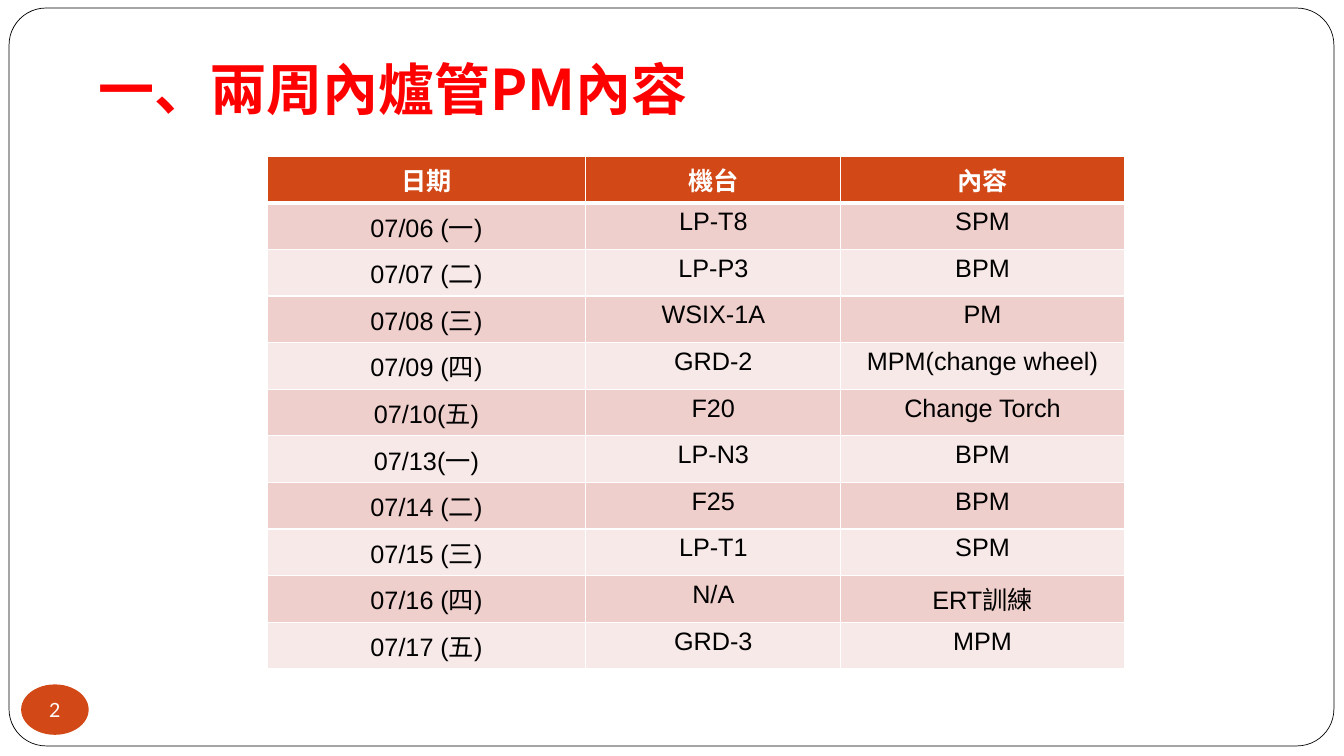
"""Build the slide that lists two weeks of furnace maintenance."""
from dataclasses import dataclass

from lxml import etree
from pptx import Presentation
from pptx.dml.color import RGBColor
from pptx.enum.shapes import MSO_SHAPE
from pptx.enum.text import MSO_ANCHOR, MSO_AUTO_SIZE, PP_ALIGN
from pptx.oxml.ns import qn
from pptx.util import Inches, Pt

ROUND = MSO_SHAPE.ROUNDED_RECTANGLE
OVAL = MSO_SHAPE.OVAL
BOTTOM = MSO_ANCHOR.BOTTOM
MIDDLE = MSO_ANCHOR.MIDDLE
TOP = MSO_ANCHOR.TOP
CENTER = PP_ALIGN.CENTER
LEFT = PP_ALIGN.LEFT
NO_FIT = MSO_AUTO_SIZE.NONE


@dataclass(frozen=True)
class Style:
    """Font, size, colour and weight of a text."""
    font: str
    size: int
    color: str
    bold: bool = False


@dataclass(frozen=True)
class Theme:
    """Colours and text styles of the slide."""
    white: str = "FFFFFF"
    black: str = "000000"
    accent: str = "D34817"
    bands: tuple = ("EFCFCC", "F7E9E8")
    asian: str = "Noto Sans CJK SC"
    title: Style = Style("Noto Sans CJK SC", 40, "FF0000", True)
    head: Style = Style("Calibri", 18, "FFFFFF", True)
    body: Style = Style("Arial", 18, "000000")
    badge: Style = Style("Lato", 14, "FFFFFF")


@dataclass(frozen=True)
class Job:
    """One row of the maintenance plan."""
    date: str
    tool: str
    task: str


THEME = Theme()
WIDTHS = (3.16, 2.53, 2.81)
JOBS = (
    Job("日期", "機台", "內容"),
    Job("07/06 (一)", "LP-T8", "SPM"),
    Job("07/07 (二)", "LP-P3", "BPM"),
    Job("07/08 (三)", "WSIX-1A", "PM"),
    Job("07/09 (四)", "GRD-2", "MPM(change wheel)"),
    Job("07/10(五)", "F20", "Change Torch"),
    Job("07/13(一)", "LP-N3", "BPM"),
    Job("07/14 (二)", "F25", "BPM"),
    Job("07/15 (三)", "LP-T1", "SPM"),
    Job("07/16 (四)", "N/A", "ERT訓練"),
    Job("07/17 (五)", "GRD-3", "MPM"),
)


def write(frame, text: str, style: Style, align) -> None:
    """Set the text of a frame and format its run."""
    frame.text = text
    line = frame.paragraphs[0]
    line.alignment = align
    run = line.runs[0]
    run.font.name = style.font
    run.font.size = Pt(style.size)
    run.font.bold = style.bold
    run.font.color.rgb = RGBColor.from_string(style.color)
    latin = run.font._element.find(qn("a:latin"))
    asian = etree.Element(qn("a:ea"), typeface=THEME.asian)
    latin.addnext(asian)


def pad(frame, left: float, top: float, right: float, bottom: float) -> None:
    """Set the four insets of a text frame."""
    frame.margin_left, frame.margin_top = Inches(left), Inches(top)
    frame.margin_right, frame.margin_bottom = Inches(right), Inches(bottom)


def paint(shape, color: str) -> None:
    """Fill a shape and drop its shadow."""
    shape.shadow.inherit = False
    shape.fill.solid()
    shape.fill.fore_color.rgb = RGBColor.from_string(color)


def edge(cell, side: str, width: float) -> None:
    """Add a white border to one side of a cell."""
    props = cell._tc.get_or_add_tcPr()
    line = etree.SubElement(props, qn(f"a:ln{side}"), w=str(Pt(width)))
    fill = etree.SubElement(line, qn("a:solidFill"))
    etree.SubElement(fill, qn("a:srgbClr"), val=THEME.white)


def add_frame(slide) -> None:
    """Draw the rounded frame behind the title."""
    frame = slide.shapes.add_shape(
        ROUND, Inches(0.09), Inches(0.08), Inches(13.14), Inches(7.32))
    frame.adjustments[0] = 0.05
    paint(frame, THEME.white)
    frame.line.color.rgb = RGBColor.from_string(THEME.black)
    frame.line.width = Pt(0.5)
    slide.shapes.title.element.addprevious(frame.element)


def add_title(slide) -> None:
    """Place and format the title."""
    title = slide.shapes.title
    title.left, title.top = Inches(0.88), Inches(0.36)
    title.width, title.height = Inches(11.33), Inches(0.95)
    frame = title.text_frame
    frame.auto_size = NO_FIT
    frame.word_wrap = True
    frame.vertical_anchor = BOTTOM
    pad(frame, 0.1, 0.05, 0.1, 0.1)
    write(frame, "一、兩周內爐管PM內容", THEME.title, LEFT)


def add_plan(slide) -> None:
    """Draw the table of jobs."""
    table = slide.shapes.add_table(
        len(JOBS), len(WIDTHS), Inches(2.65), Inches(1.55),
        Inches(sum(WIDTHS)), Inches(5.01)).table
    for column, width in zip(table.columns, WIDTHS):
        column.width = Inches(width)
    for row, job in enumerate(JOBS):
        style = THEME.body if row else THEME.head
        color = THEME.bands[(row - 1) % 2] if row else THEME.accent
        rules = {"L": 1, "R": 1, "T": 3 if row == 1 else 1,
                 "B": 1 if row else 3}
        for col, text in enumerate((job.date, job.tool, job.task)):
            cell = table.cell(row, col)
            pad(cell, 0.1, 0.05, 0.1, 0.05)
            cell.vertical_anchor = TOP
            for side, width in rules.items():
                edge(cell, side, width)
            cell.fill.solid()
            cell.fill.fore_color.rgb = RGBColor.from_string(color)
            write(cell.text_frame, text, style, CENTER)


def add_badge(slide) -> None:
    """Draw the page number in its oval."""
    badge = slide.shapes.add_shape(
        OVAL, Inches(0.21), Inches(6.79), Inches(0.67), Inches(0.5))
    paint(badge, THEME.accent)
    badge.line.fill.background()
    frame = badge.text_frame
    frame.word_wrap = False
    frame.vertical_anchor = MIDDLE
    pad(frame, 0, 0, 0, 0)
    write(frame, "2", THEME.badge, CENTER)


def main() -> None:
    """Build and save the deck."""
    deck = Presentation()
    deck.slide_width, deck.slide_height = Inches(13.33), Inches(7.5)
    slide = deck.slides.add_slide(deck.slide_layouts[5])
    add_frame(slide)
    add_title(slide)
    add_plan(slide)
    add_badge(slide)
    deck.save("out.pptx")


if __name__ == "__main__":
    main()
